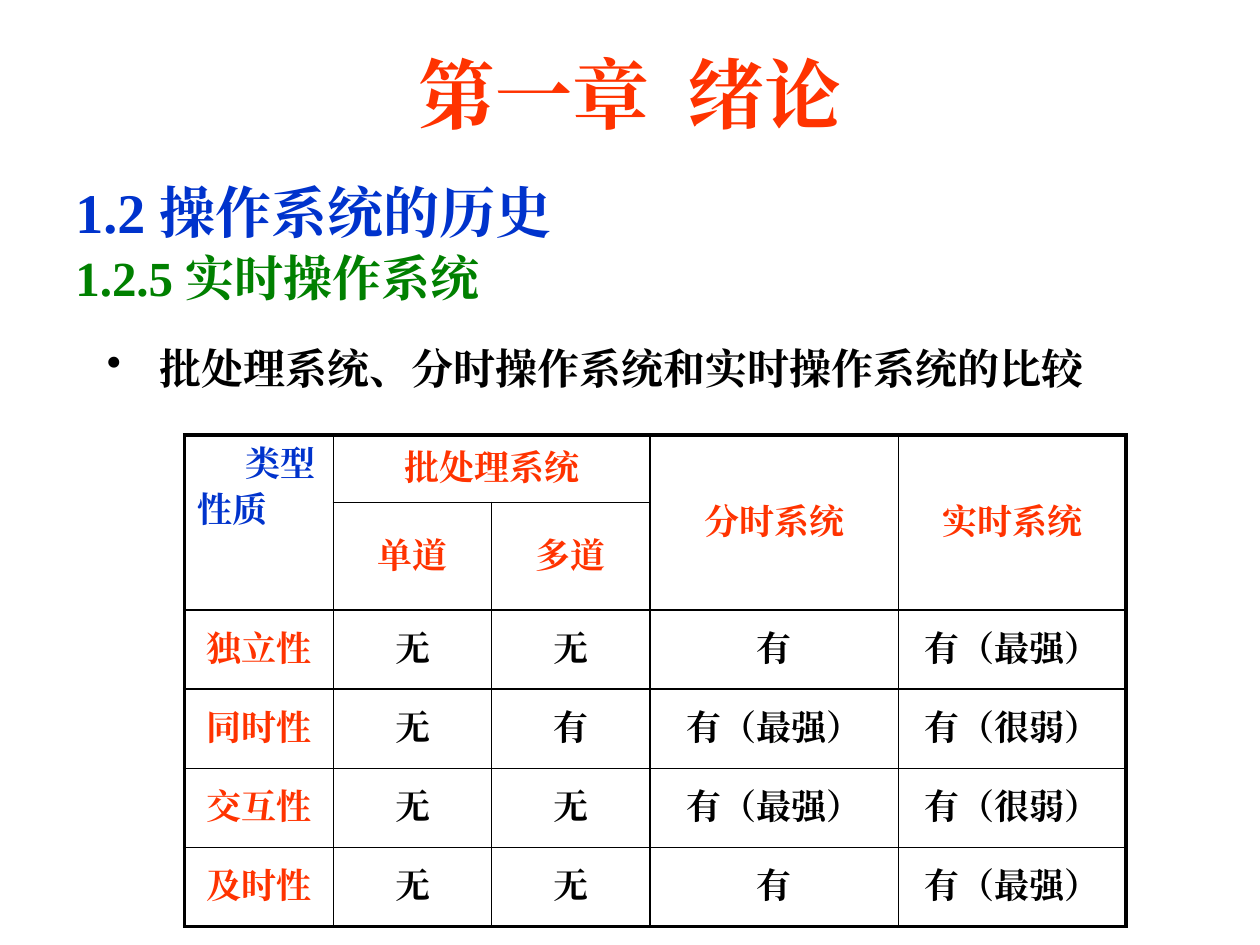
import pptx
import pptx.util
import pptx.dml.color
import pptx.enum.text
import pptx.oxml
import pptx.oxml.ns
from lxml import etree

Pt = pptx.util.Pt
Align = pptx.enum.text.PP_ALIGN
Anchor = pptx.enum.text.MSO_ANCHOR
qn = pptx.oxml.ns.qn

RED = pptx.dml.color.RGBColor(0xFF, 0x33, 0x00)
BLUE = pptx.dml.color.RGBColor(0x00, 0x33, 0xCC)
GREEN = pptx.dml.color.RGBColor(0x00, 0x80, 0x00)
BLACK = pptx.dml.color.RGBColor(0x00, 0x00, 0x00)
FONT = "Times New Roman"


def write(para, text, size, color):
    run = para.add_run()
    run.text = text
    font = run.font
    font.name, font.size, font.bold = FONT, Pt(size), True
    font.color.rgb = color
    face = etree.SubElement(run._r.get_or_add_rPr(), qn("a:ea"))
    face.set("typeface", FONT)


def edge(cell, side, width):
    props = cell._tc.get_or_add_tcPr()
    line = etree.SubElement(props, qn("a:" + side), w=str(Pt(width)))
    fill = etree.SubElement(line, qn("a:solidFill"))
    etree.SubElement(fill, qn("a:srgbClr"), val=str(BLACK))


deck = pptx.Presentation()
deck.slide_width, deck.slide_height = Pt(720), Pt(540)
slide = deck.slides.add_slide(deck.slide_layouts[5])

# Chapter title
title = slide.shapes.title
title.left, title.top, title.width, title.height = Pt(54), Pt(20), Pt(612), Pt(66)
title.text_frame.vertical_anchor = Anchor.MIDDLE
para = title.text_frame.paragraphs[0]
para.alignment = Align.CENTER
write(para, "第一章  绪论", 44, RED)

# Section headings
box = slide.shapes.add_textbox(Pt(36), Pt(96), Pt(648), Pt(96))
frame = box.text_frame
frame.word_wrap = True
heads = [("1.2 操作系统的历史", 32, BLUE), ("1.2.5 实时操作系统", 28, GREEN)]
for i, (text, size, color) in enumerate(heads):
    para = frame.add_paragraph() if i else frame.paragraphs[0]
    para.line_spacing = 1.05
    write(para, text, size, color)

# Bullet line
box = slide.shapes.add_textbox(Pt(54), Pt(192), Pt(606), Pt(36))
box.text_frame.word_wrap = True
para = box.text_frame.paragraphs[0]
props = para._p.get_or_add_pPr()
props.set("marL", str(Pt(30)))
props.set("indent", str(-Pt(30)))
etree.SubElement(props, qn("a:buChar"), char="•")
write(para, "批处理系统、分时操作系统和实时操作系统的比较", 24, BLACK)

# Comparison table
rows = [
    ["", "批处理系统", "", "分时系统", "实时系统"],
    ["", "单道", "多道", "", ""],
    ["独立性", "无", "无", "有", "有（最强）"],
    ["同时性", "无", "有", "有（最强）", "有（很弱）"],
    ["交互性", "无", "无", "有（最强）", "有（很弱）"],
    ["及时性", "无", "无", "有", "有（最强）"],
]
wide = [85, 90.5, 90.5, 142, 130]
high = [38.5, 61.5] + [45.2] * 4
last, end = len(rows) - 1, len(wide) - 1
shape = slide.shapes.add_table(len(rows), len(wide), Pt(105.5), Pt(248.5),
                               Pt(sum(wide)), Pt(sum(high)))
table = shape.table
table.first_row = table.horz_banding = False
for col, size in zip(table.columns, wide):
    col.width = Pt(size)
for row, size in zip(table.rows, high):
    row.height = Pt(size)

# Cell text and borders, with a heavy outer frame
for r, row in enumerate(rows):
    for c, text in enumerate(row):
        cell = table.cell(r, c)
        cell.vertical_anchor = Anchor.MIDDLE
        edge(cell, "lnL", 2.25 if c == 0 else 1)
        edge(cell, "lnR", 2.25 if c == end else 1)
        edge(cell, "lnT", 2.25 if r == 0 else 1)
        edge(cell, "lnB", 2.25 if r == last else 1)
        cell.fill.background()
        if text:
            para = cell.text_frame.paragraphs[0]
            para.alignment = Align.CENTER
            write(para, text, 20, RED if r < 2 or c == 0 else BLACK)

# Merged header cells
table.cell(0, 1).merge(table.cell(0, 2))
for c in (0, 3, 4):
    table.cell(0, c).merge(table.cell(1, c))

# Corner cell
corner = table.cell(0, 0)
corner.vertical_anchor = Anchor.TOP
corner.margin_top = Pt(6)
para = corner.text_frame.paragraphs[0]
para._p.get_or_add_pPr().set("marL", str(Pt(27.5)))
write(para, "类型", 20, BLUE)
para = corner.text_frame.add_paragraph()
para.space_before = Pt(4)
write(para, "性质", 20, BLUE)

deck.save("out.pptx")
